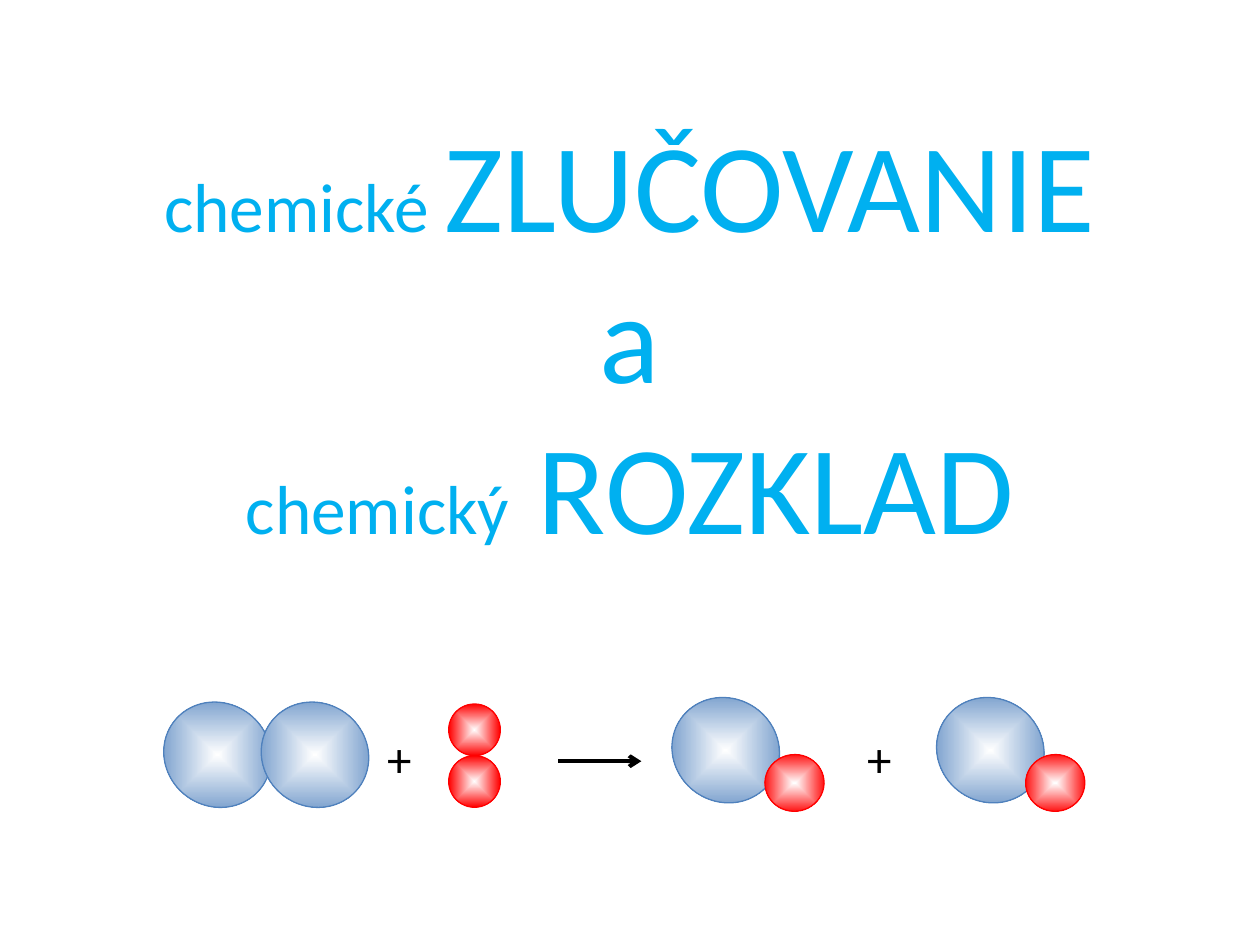
from lxml.etree import SubElement
from pptx import Presentation
from pptx.dml.color import RGBColor
from pptx.enum.shapes import MSO_CONNECTOR, MSO_SHAPE
from pptx.enum.text import MSO_ANCHOR, MSO_AUTO_SIZE, PP_ALIGN
from pptx.oxml import parse_xml
from pptx.oxml.ns import nsdecls, qn
from pptx.util import Pt

COLORS = {
    "title": "00B0F0",
    "blue": "4F81BD",
    "red": "FF0000",
    "center": "FFFFFF",
    "black": "000000",
}
FONT = "Calibri"
SMALL, LARGE, PLUS = 39.6, 72, 28


def color(name):
    return RGBColor.from_string(COLORS[name])


def add_text_box(slide, left, top, width, height):
    shape = slide.shapes.add_textbox(Pt(left), Pt(top), Pt(width), Pt(height))
    shape.text_frame.word_wrap = True
    return shape.text_frame


def add_run(paragraph, text, size, color_name):
    run = paragraph.add_run()
    run.text = text
    run.font.name = FONT
    run.font.size = Pt(size)
    run.font.color.rgb = color(color_name)


def add_title(slide):
    frame = add_text_box(slide, 54, 116.5, 612, 147.5)
    frame.vertical_anchor = MSO_ANCHOR.MIDDLE
    paragraph = frame.paragraphs[0]
    paragraph.alignment = PP_ALIGN.CENTER
    lines = [
        [("chemické ", SMALL), ("ZLUČOVANIE", LARGE)],
        [("a", LARGE)],
        [("chemický", SMALL), (" ROZKLAD", LARGE)],
    ]
    for index, line in enumerate(lines):
        if index:
            paragraph.add_line_break()
        for text, size in line:
            add_run(paragraph, text, size, "title")


def add_plus(slide, left):
    frame = add_text_box(slide, left, 412.5, 21.6, 41)
    frame.word_wrap = False
    frame.auto_size = MSO_AUTO_SIZE.SHAPE_TO_FIT_TEXT
    add_run(frame.paragraphs[0], "+", PLUS, "black")


def add_atom(shapes, left, top, width, height, color_name, rotation=0):
    shape = shapes.add_shape(MSO_SHAPE.OVAL, Pt(left), Pt(top), Pt(width), Pt(height))
    shape.shadow.inherit = False
    shape.rotation = rotation
    shape.line.color.rgb = color(color_name)
    shape.line.width = Pt(0.75)
    shape.fill.gradient()
    for stop, name in zip(shape.fill.gradient_stops, ("center", color_name)):
        stop.color.rgb = color(name)
    gradient = shape.element.spPr.find(qn("a:gradFill"))
    gradient.replace(
        gradient.find(qn("a:lin")),
        parse_xml(
            f'<a:path {nsdecls("a")} path="shape">'
            '<a:fillToRect l="50000" t="50000" r="50000" b="50000"/></a:path>'
        ),
    )


def add_blue_atom(slide, left, top):
    add_atom(slide.shapes, left, top, 59, 62.6, "blue", 305.1)


def add_red_molecule(slide):
    group = slide.shapes.add_group_shape()
    for top in (402.3, 431.8):
        add_atom(group.shapes, 256.4, top, 29.5, 29.5, "red")


def add_reaction_arrow(slide):
    arrow = slide.shapes.add_connector(
        MSO_CONNECTOR.STRAIGHT, Pt(319), Pt(435), Pt(366.5), Pt(435)
    )
    arrow.line.color.rgb = color("black")
    arrow.line.width = Pt(2.25)
    SubElement(arrow.line._get_or_add_ln(), qn("a:tailEnd"), type="arrow")
    SubElement(arrow.element.spPr, qn("a:effectLst"))


def main():
    presentation = Presentation()
    presentation.slide_width = Pt(720)
    presentation.slide_height = Pt(540)
    slide = presentation.slides.add_slide(presentation.slide_layouts[6])
    add_title(slide)
    for left, top in ((94.8, 400), (150.5, 400), (385.2, 397.4), (536.4, 397.4)):
        add_blue_atom(slide, left, top)
    add_red_molecule(slide)
    add_reaction_arrow(slide)
    for left in (437.8, 586.8):
        add_atom(slide.shapes, left, 430.5, 32.4, 33.8, "red", 84.6)
    for left in (214.6, 488.9):
        add_plus(slide, left)
    presentation.save("out.pptx")


if __name__ == "__main__":
    main()
